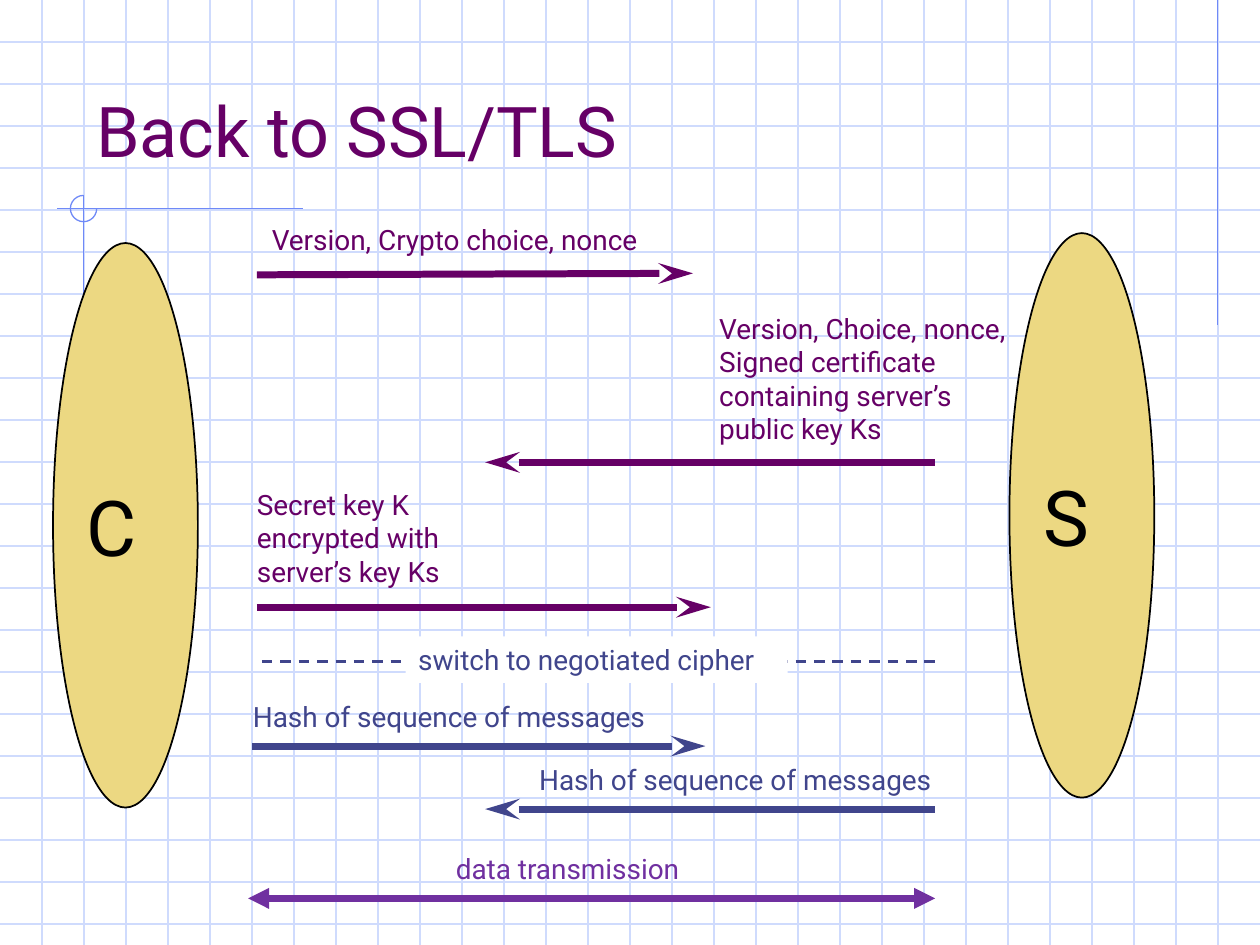
from dataclasses import dataclass

from lxml.etree import SubElement
from pptx import Presentation
from pptx.dml.color import RGBColor
from pptx.enum.dml import MSO_LINE
from pptx.enum.shapes import MSO_CONNECTOR, MSO_SHAPE
from pptx.enum.text import MSO_ANCHOR, MSO_AUTO_SIZE, PP_ALIGN
from pptx.oxml.ns import qn
from pptx.util import Cm, Pt

WIDTH, HEIGHT = 25.4, 19.05
GRID_STEP = WIDTH / 30


@dataclass(frozen=True)
class Theme:
    font: str = "Roboto"
    grid: str = "CFDBFD"
    accent: str = "6F89F7"
    plum: str = "660066"
    indigo: str = "40458C"
    violet: str = "7030A0"
    sand: str = "ECD882"
    black: str = "000000"
    white: str = "FFFFFF"
    title_size: int = 40
    party_size: int = 44
    label_size: int = 16
    thin: float = 0.75
    outline: float = 1
    dashed: float = 1.5
    arrow: float = 4


def write_text(frame, text, *, font, size, color, anchor=MSO_ANCHOR.TOP):
    frame.word_wrap = True
    frame.auto_size = MSO_AUTO_SIZE.NONE
    frame.vertical_anchor = anchor
    frame.text = text
    for paragraph in frame.paragraphs:
        paragraph.alignment = PP_ALIGN.LEFT
        paragraph.font.name = font
        paragraph.font.size = Pt(size)
        paragraph.font.color.rgb = RGBColor.from_string(color)


class SlideBuilder:
    def __init__(self, slide, theme):
        self.slide = slide
        self.theme = theme

    def line(self, start, end, color, width, head=None, tail=None, dash=None):
        connector = self.slide.shapes.add_connector(
            MSO_CONNECTOR.STRAIGHT, *(Cm(length) for length in (*start, *end))
        )
        connector.line.color.rgb = RGBColor.from_string(color)
        connector.line.width = Pt(width)
        if dash:
            connector.line.dash_style = dash
        properties = connector.element.spPr
        outline = properties.find(qn("a:ln"))
        for tag, kind in (("a:headEnd", head), ("a:tailEnd", tail)):
            if kind:
                length = "lg" if kind == "stealth" else "med"
                SubElement(outline, qn(tag), type=kind, w="med", len=length)
        SubElement(properties, qn("a:effectLst"))

    def grid(self):
        for row in range(1, 23):
            y = row * GRID_STEP
            self.line((0, y), (WIDTH, y), self.theme.grid, self.theme.thin)
        for column in range(1, 30):
            x = column * GRID_STEP
            self.line((x, 0), (x, HEIGHT), self.theme.grid, self.theme.thin)

    def corner_marks(self):
        theme = self.theme
        for start, end in (
            ((24.55, 0), (24.55, 6.55)),
            ((6.1, 4.21), (1.14, 4.21)),
            ((1.69, 3.94), (1.69, 10.39)),
        ):
            self.line(start, end, theme.accent, theme.thin)
        arc = self.slide.shapes.add_shape(
            MSO_SHAPE.ARC, Cm(1.42), Cm(3.94), Cm(0.53), Cm(0.53)
        )
        arc.adjustments[0] = 0
        arc.adjustments[1] = 162
        arc.shadow.inherit = False
        arc.fill.background()
        arc.line.color.rgb = RGBColor.from_string(theme.accent)
        arc.line.width = Pt(theme.thin)

    def title(self, text):
        title = self.slide.shapes.title
        title.left, title.top = Cm(1.69), Cm(0.85)
        title.width, title.height = Cm(21.6), Cm(2.74)
        write_text(title.text_frame, text, font=self.theme.font,
                   size=self.theme.title_size, color=self.theme.plum,
                   anchor=MSO_ANCHOR.BOTTOM)
        title.element.getparent().append(title.element)

    def party(self, name, left, top):
        theme = self.theme
        ellipse = self.slide.shapes.add_shape(
            MSO_SHAPE.OVAL, Cm(left), Cm(top), Cm(2.92), Cm(11.38)
        )
        ellipse.shadow.inherit = False
        ellipse.fill.solid()
        ellipse.fill.fore_color.rgb = RGBColor.from_string(theme.sand)
        ellipse.line.color.rgb = RGBColor.from_string(theme.black)
        ellipse.line.width = Pt(theme.outline)
        write_text(ellipse.text_frame, name, font=theme.font,
                   size=theme.party_size, color=theme.black,
                   anchor=MSO_ANCHOR.MIDDLE)

    def label(self, text, left, top, width, color, height=0.94, fill=None):
        box = self.slide.shapes.add_textbox(
            Cm(left), Cm(top), Cm(width), Cm(height)
        )
        if fill:
            box.fill.solid()
            box.fill.fore_color.rgb = RGBColor.from_string(fill)
        write_text(box.text_frame, text, font=self.theme.font,
                   size=self.theme.label_size, color=color)

    def arrow(self, start, end, color, head=None, tail=None):
        self.line(start, end, color, self.theme.arrow, head, tail)


def main():
    presentation = Presentation()
    presentation.slide_width = Cm(WIDTH)
    presentation.slide_height = Cm(HEIGHT)
    slide = presentation.slides.add_slide(presentation.slide_layouts[5])
    theme = Theme()
    builder = SlideBuilder(slide, theme)

    builder.grid()
    builder.corner_marks()
    builder.title("Back to SSL/TLS")
    builder.party("C", 1.07, 4.9)
    builder.party("S", 20.35, 4.7)

    builder.arrow((5.18, 5.54), (13.97, 5.51), theme.plum, tail="stealth")
    builder.label("Version, Crypto choice, nonce", 5.23, 4.37, 8.31, theme.plum)

    builder.arrow((9.78, 9.32), (18.85, 9.32), theme.plum, head="stealth")
    builder.label(
        "Version, Choice, nonce,\nSigned certificate\n"
        "containing server’s\npublic key Ks",
        14.25, 6.15, 6.63, theme.plum, height=2.97,
    )

    builder.arrow((5.18, 12.24), (14.33, 12.24), theme.plum, tail="stealth")
    builder.label("Secret key K\nencrypted with\nserver’s key Ks",
                  4.93, 9.7, 4.6, theme.plum, height=2.29)

    builder.line((5.28, 13.34), (18.85, 13.34), theme.indigo, theme.dashed,
                 dash=MSO_LINE.DASH)
    builder.label("switch to negotiated cipher", 8.18, 12.83, 7.7,
                  theme.indigo, fill=theme.white)

    builder.arrow((5.08, 15.04), (14.22, 15.04), theme.indigo, tail="stealth")
    builder.arrow((9.78, 16.31), (18.85, 16.31), theme.indigo, head="stealth")
    for left, top in ((4.85, 13.97), (10.62, 15.24)):
        builder.label("Hash of sequence of messages", left, top, 8.66,
                      theme.indigo)

    builder.arrow((5, 18.11), (18.85, 18.11), theme.violet,
                  head="triangle", tail="triangle")
    builder.label("data transmission", 8.94, 17.04, 5.23, theme.violet)

    presentation.save("out.pptx")


if __name__ == "__main__":
    main()
